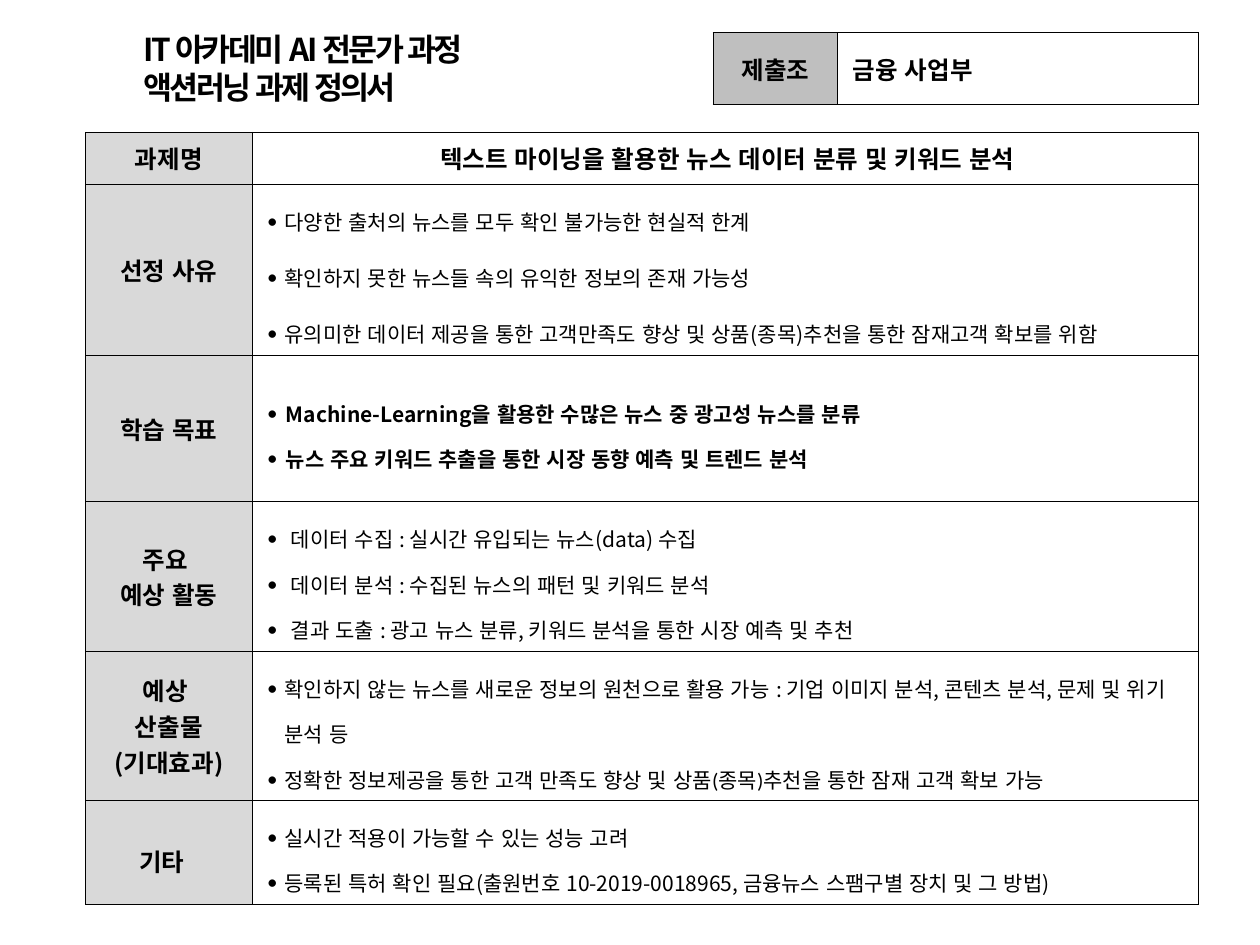
from dataclasses import dataclass

from lxml.etree import SubElement
from pptx import Presentation
from pptx.dml.color import RGBColor
from pptx.enum.text import MSO_ANCHOR, MSO_AUTO_SIZE, PP_ALIGN
from pptx.oxml.ns import qn
from pptx.shapes.graphfrm import GraphicFrame
from pptx.slide import Slide
from pptx.table import _Cell
from pptx.text.text import TextFrame, _Paragraph
from pptx.util import Inches, Pt


@dataclass(frozen=True)
class Theme:
    font: str = "Noto Sans CJK KR"
    latin_font: str = "Calibri"
    ink: str = "000000"
    paper: str = "FFFFFF"
    label_fill: str = "D9D9D9"
    team_fill: str = "BFBFBF"
    title_size: float = 18
    heading_size: float = 14
    body_size: float = 12


@dataclass(frozen=True)
class Section:
    labels: tuple[str, ...]
    points: tuple[str, ...]
    height: float
    indent: float = 0.14
    space_after: float = 0
    bold: bool = False
    label_spacing: float | None = None
    last_font: str | None = None


THEME = Theme()

TOPIC = "텍스트 마이닝을 활용한 뉴스 데이터 분류 및 키워드 분석"
TOPIC_HEIGHT = 0.41

SECTIONS = (
    Section(
        ("선정 사유",),
        (
            "다양한 출처의 뉴스를 모두 확인 불가능한 현실적 한계",
            "확인하지 못한 뉴스들 속의 유익한 정보의 존재 가능성",
            "유의미한 데이터 제공을 통한 고객만족도 향상 및 상품(종목)추천을 통한 잠재고객 확보를 위함",
        ),
        1.36,
        space_after=6,
    ),
    Section(
        ("학습 목표",),
        (
            "Machine-Learning을 활용한 수많은 뉴스 중 광고성 뉴스를 분류",
            "뉴스 주요 키워드 추출을 통한 시장 동향 예측 및 트렌드 분석",
        ),
        1.16,
        indent=0.15,
        bold=True,
    ),
    Section(
        ("주요 ", "예상 활동"),
        (
            "데이터 수집 : 실시간 유입되는 뉴스(data) 수집",
            "데이터 분석 : 수집된 뉴스의 패턴 및 키워드 분석",
            "결과 도출 : 광고 뉴스 분류, 키워드 분석을 통한 시장 예측 및 추천",
        ),
        1.19,
        indent=0.19,
    ),
    Section(
        ("예상 ", "산출물", "(기대효과)"),
        (
            "확인하지 않는 뉴스를 새로운 정보의 원천으로 활용 가능 : 기업 이미지 분석, 콘텐츠 분석, 문제 및 위기 분석 등",
            "정확한 정보제공을 통한 고객 만족도 향상 및 상품(종목)추천을 통한 잠재 고객 확보 가능",
        ),
        1.18,
        last_font=THEME.latin_font,
    ),
    Section(
        ("기타  ",),
        (
            "실시간 적용이 가능할 수 있는 성능 고려",
            "등록된 특허 확인 필요(출원번호 10-2019-0018965, 금융뉴스 스팸구별 장치 및 그 방법)",
        ),
        0.83,
        label_spacing=1.5,
    ),
)


def write_text(
    paragraph: _Paragraph,
    text: str,
    *,
    size: float = THEME.heading_size,
    bold: bool = True,
    font: str = THEME.font,
    align: PP_ALIGN = PP_ALIGN.LEFT,
    line_spacing: float | None = None,
    space_after: float | None = None,
    bullet_indent: float | None = None,
    tracking: float | None = None,
) -> None:
    paragraph.alignment = align
    if line_spacing is not None:
        paragraph.line_spacing = line_spacing
    if space_after is not None:
        paragraph.space_after = Pt(space_after)
    if bullet_indent is not None:
        properties = paragraph._p.get_or_add_pPr()
        properties.set("marL", str(Inches(bullet_indent)))
        properties.set("indent", str(-Inches(bullet_indent)))
        SubElement(properties, qn("a:buFont")).set("typeface", THEME.latin_font)
        SubElement(properties, qn("a:buChar")).set("char", "•")
    run = paragraph.add_run()
    run.text = text
    run.font.size = Pt(size)
    run.font.bold = bold
    run.font.color.rgb = RGBColor.from_string(THEME.ink)
    run.font.name = font
    run_properties = run._r.get_or_add_rPr()
    run_properties.set("lang", "ko-KR")
    run_properties.set("kern", "0")
    SubElement(run_properties, qn("a:ea")).set("typeface", THEME.font)
    if tracking is not None:
        run_properties.set("spc", str(int(tracking * 100)))


def next_paragraph(frame: TextFrame, index: int) -> _Paragraph:
    return frame.paragraphs[0] if index == 0 else frame.add_paragraph()


def style_cell(cell: _Cell, fill: str, side_insets: tuple[float, float], border: float) -> None:
    cell.vertical_anchor = MSO_ANCHOR.MIDDLE
    cell.margin_left, cell.margin_right = map(Inches, side_insets)
    cell.margin_top = cell.margin_bottom = Inches(0.05)
    properties = cell._tc.get_or_add_tcPr()
    for side in ("lnL", "lnR", "lnT", "lnB"):
        line = SubElement(properties, qn(f"a:{side}"))
        line.set("w", str(Pt(border)))
        line_fill = SubElement(line, qn("a:solidFill"))
        SubElement(line_fill, qn("a:srgbClr")).set("val", THEME.ink)
    cell.fill.solid()
    cell.fill.fore_color.rgb = RGBColor.from_string(fill)


def add_form(
    slide: Slide,
    left: float,
    top: float,
    widths: tuple[float, ...],
    heights: tuple[float, ...],
    label_fill: str,
    border: float,
) -> GraphicFrame:
    frame = slide.shapes.add_table(
        len(heights), len(widths),
        Inches(left), Inches(top), Inches(sum(widths)), Inches(sum(heights)),
    )
    form = frame.table
    form.first_row = form.horz_banding = False
    for column, width in zip(form.columns, widths):
        column.width = Inches(width)
    for row, height in zip(form.rows, heights):
        row.height = Inches(height)
        style_cell(row.cells[0], label_fill, (0.05, 0.05), border)
        style_cell(row.cells[1], THEME.paper, (0.12, 0.08), border)
    return frame


def fill_section(label_cell: _Cell, point_cell: _Cell, section: Section) -> None:
    for index, label in enumerate(section.labels):
        write_text(next_paragraph(label_cell.text_frame, index), label,
                   align=PP_ALIGN.CENTER, line_spacing=section.label_spacing)
    for index, point in enumerate(section.points):
        is_last = index == len(section.points) - 1
        write_text(
            next_paragraph(point_cell.text_frame, index), point,
            size=THEME.body_size, bold=section.bold,
            font=section.last_font if is_last and section.last_font else THEME.font,
            line_spacing=1.5, space_after=section.space_after, bullet_indent=section.indent,
        )


def add_title(slide: Slide) -> None:
    title = slide.shapes.title
    title.left, title.top, title.width, title.height = map(Inches, (1.04, 0.19, 3.12, 0.7))
    title.text_frame.word_wrap = True
    title.text_frame.auto_size = MSO_AUTO_SIZE.SHAPE_TO_FIT_TEXT
    title.text_frame.vertical_anchor = MSO_ANCHOR.TOP
    write_text(title.text_frame.paragraphs[0], "IT 아카데미 AI 전문가 과정 액션러닝 과제 정의서",
               size=THEME.title_size, tracking=-1.5)


def main() -> None:
    deck = Presentation()
    deck.slide_width, deck.slide_height = Inches(10), Inches(7.5)
    slide = deck.slides.add_slide(deck.slide_layouts[5])
    add_title(slide)

    heights = (TOPIC_HEIGHT, *(section.height for section in SECTIONS))
    definition = add_form(slide, 0.68, 1.05, (1.32, 7.51), heights, THEME.label_fill, 0.5).table
    for column, text in enumerate(("과제명", TOPIC)):
        write_text(definition.cell(0, column).text_frame.paragraphs[0], text, align=PP_ALIGN.CENTER)
    for row, section in enumerate(SECTIONS, start=1):
        fill_section(definition.cell(row, 0), definition.cell(row, 1), section)

    team = add_form(slide, 5.66, 0.26, (0.99, 2.86), (0.57,), THEME.team_fill, 0.75).table
    write_text(team.cell(0, 0).text_frame.paragraphs[0], "제출조", align=PP_ALIGN.CENTER)
    write_text(team.cell(0, 1).text_frame.paragraphs[0], "금융 사업부")

    deck.save("out.pptx")


if __name__ == "__main__":
    main()
